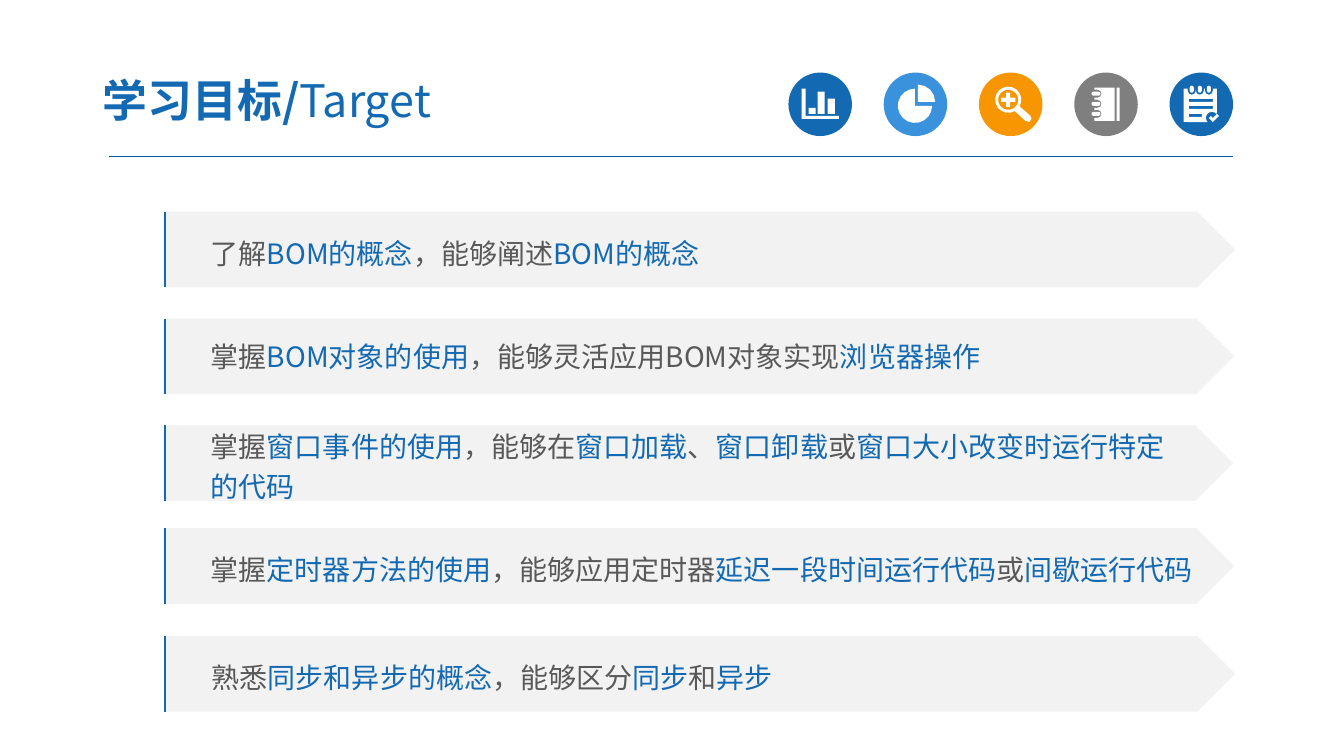
from math import cos, radians, sin
from pptx import Presentation
from pptx.dml.color import RGBColor
from pptx.enum.shapes import MSO_CONNECTOR, MSO_SHAPE as Shape
from pptx.enum.text import MSO_ANCHOR, MSO_AUTO_SIZE, PP_ALIGN
from pptx.oxml.ns import qn
from pptx.util import Inches, Pt
from lxml import etree

BLUE = RGBColor(0x13, 0x69, 0xB2)
SKY = RGBColor(0x39, 0x92, 0xDB)
ORANGE = RGBColor(0xF7, 0x96, 0x00)
GREY = RGBColor(0x7F, 0x7F, 0x7F)
WHITE = RGBColor(0xFF, 0xFF, 0xFF)
PALE = RGBColor(0xF2, 0xF2, 0xF2)
TEXT = RGBColor(0x59, 0x59, 0x59)
RULE = RGBColor(0x00, 0x5B, 0x9E)
FONT = "Noto Sans CJK SC"

TITLE = [("学习目标/", True), ("Target", False)]
GOALS = [
    (1.62, 2.10, 10.63, 1.2, [["了解", "BOM的概念", "，能够阐述", "BOM的概念"]]),
    (1.62, 3.16, 10.62, 1.0, [["掌握", "BOM对象的使用", "，能够灵活应用BOM对象实现", "浏览器操作"]]),
    (1.62, 4.22, 10.61, 1.2, [["掌握", "窗口事件的使用", "，能够在", "窗口加载", "、", "窗口卸载",
                               "或", "窗口大小改变时运行特定"], ["", "的代码"]]),
    (1.62, 5.24, 10.62, 1.2, [["掌握", "定时器方法的使用", "，能够应用定时器", "延迟一段时间运行代码",
                               "或", "间歇运行代码"]]),
    (1.63, 6.31, 10.62, 1.2, [["熟悉", "同步和异步的概念", "，能够区分", "同步", "和", "异步"]]),
]
PLATE_HEIGHT, EDGE_LEFT, EDGE_WIDTH = 0.75, 1.64, 0.16
ICON_LEFT, ICON_TOP, ICON_SIZE, ICON_STEP = 7.82, 0.72, 0.63, 0.945


def arc(x, y, radius, start, end):
    """List points along an arc, in degrees clockwise from the right."""
    count = max(2, round(abs(end - start) / (20 if radius > 0.05 else 45)))
    angles = [radians(start + (end - start) * step / count) for step in range(count + 1)]
    return [(x + radius * cos(angle), y + radius * sin(angle)) for angle in angles]


def bar(left, top, width, height):
    """List the corners of an upright bar."""
    right, bottom = left + width, top + height
    return [(left, top), (right, top), (right, bottom), (left, bottom)]


def bar_chart():
    """Outline two axes and three bars."""
    axes = [(0.13, 0.16), (0.17, 0.16), (0.17, 0.43), (0.5, 0.43), (0.5, 0.46), (0.13, 0.46)]
    return [axes, bar(0.2, 0.35, 0.07, 0.06), bar(0.29, 0.19, 0.07, 0.22),
            bar(0.39, 0.26, 0.07, 0.15)]


def pie_chart():
    """Outline a pie with one slice pulled out."""
    return [[(0.31, 0.33)] + arc(0.31, 0.33, 0.17, 0, 270),
            [(0.34, 0.29)] + arc(0.34, 0.29, 0.17, 270, 360)]


def magnifier():
    """Outline a lens with a handle and a plus sign."""
    x, y, arm, half = 0.29, 0.27, 0.07, 0.02
    plus = [(-half, -arm), (half, -arm), (half, -half), (arm, -half), (arm, half), (half, half),
            (half, arm), (-half, arm), (-half, half), (-arm, half), (-arm, -half), (-half, -half)]
    handle = [(0.51, 0.43), (0.52, 0.46), (0.5, 0.49), (0.46, 0.48)]
    return [arc(x, y, 0.13, 60, 390) + handle, arc(x, y, 0.1, 0, 360),
            [(x + dx, y + dy) for dx, dy in plus]]


def notebook():
    """Outline a ring-bound book."""
    body, rings = [(0.4, 0.15), (0.4, 0.48), (0.2, 0.48)], []
    for y in (0.41, 0.31, 0.21):
        body += [(0.2, y + 0.04), *arc(0.23, y, 0.04, 90, -90), (0.2, y - 0.04)]
        rings.append(arc(0.24, y, 0.02, -90, 90) + arc(0.19, y, 0.02, 90, 270))
    return [body + [(0.2, 0.15)], bar(0.42, 0.15, 0.03, 0.33), *rings]


def notepad():
    """Outline a ticked pad with rings and ruled lines."""
    body, rings = [(0.14, 0.16)], []
    for x in (0.22, 0.3, 0.39):
        body += [(x - 0.04, 0.16), *arc(x, 0.18, 0.04, 180, 0), (x + 0.04, 0.16)]
        rings.append(arc(x, 0.15, 0.02, 180, 360) + arc(x, 0.18, 0.02, 0, 180))
    body += [(0.47, 0.16), (0.47, 0.4), *arc(0.42, 0.45, 0.06, 315, 135), (0.14, 0.49)]
    lines = [bar(0.19, top, width, 0.03)
             for top, width in ((0.26, 0.24), (0.33, 0.24), (0.41, 0.13))]
    tick = [(0.39, 0.45), (0.41, 0.43), (0.43, 0.45), (0.47, 0.41), (0.49, 0.43), (0.43, 0.49)]
    return [body, *rings, *lines, tick]


ICONS = [(BLUE, bar_chart()), (SKY, pie_chart()), (ORANGE, magnifier()),
         (GREY, notebook()), (BLUE, notepad())]


def paint(shape, color):
    """Give a shape a plain fill without border or shadow."""
    shape.shadow.inherit = False
    shape.fill.solid()
    shape.fill.fore_color.rgb = color
    shape.line.fill.background()


def add_filled(shapes, kind, color, *box):
    """Add a plainly filled preset shape."""
    shape = shapes.add_shape(kind, *map(Inches, box))
    paint(shape, color)
    return shape


def add_span(para, text, size, color, bold=False):
    """Add a formatted run in the slide's font."""
    span = para.add_run()
    span.text = text
    font = span.font
    font.size, font.bold, font.name = Pt(size), bold, FONT
    font.color.rgb = color
    etree.SubElement(span._r.get_or_add_rPr(), qn("a:ea")).set("typeface", FONT)


def add_rule(page):
    """Draw the line under the title."""
    rule = page.shapes.add_connector(MSO_CONNECTOR.STRAIGHT, Inches(1.08), Inches(1.55),
                                     Inches(12.23), Inches(1.55))
    rule.line.color.rgb = RULE
    rule.line.width = Pt(0.75)
    etree.SubElement(rule._element.spPr, qn("a:effectLst"))


def add_title(page):
    """Place and fill the title."""
    title = page.shapes.title
    title.left, title.top, title.width, title.height = map(Inches, (0.89, 0.63, 5.22, 0.72))
    frame = title.text_frame
    frame.auto_size, frame.word_wrap = MSO_AUTO_SIZE.NONE, True
    frame.vertical_anchor = MSO_ANCHOR.MIDDLE
    frame.margin_left = frame.margin_right = Inches(0.13)
    frame.margin_top = frame.margin_bottom = Inches(0.07)
    para = frame.paragraphs[0]
    para.alignment = PP_ALIGN.LEFT
    for text, bold in TITLE:
        add_span(para, text, 32, BLUE, bold)


def add_icon(page, left, color, contours):
    """Draw a round badge with its symbol."""
    shapes = page.shapes.add_group_shape().shapes
    add_filled(shapes, Shape.OVAL, color, left, ICON_TOP, ICON_SIZE, ICON_SIZE)
    builder = None
    for contour in contours:
        first, *others = [(Inches(left + x), Inches(ICON_TOP + y)) for x, y in contour]
        if builder is None:
            builder = shapes.build_freeform(*first)
        else:
            builder.move_to(*first)
        builder.add_line_segments(others, close=True)
    paint(builder.convert_to_shape(), WHITE)


def add_goal(page, left, top, width, spacing, lines):
    """Draw one arrow plate with its goal and edge line."""
    shapes = page.shapes.add_group_shape().shapes
    plate = add_filled(shapes, Shape.PENTAGON, PALE, left, top, width, PLATE_HEIGHT)
    frame = plate.text_frame
    frame.word_wrap = True
    frame.vertical_anchor = MSO_ANCHOR.MIDDLE
    frame.margin_left = Inches(0.47)
    for index, parts in enumerate(lines):
        para = frame.add_paragraph() if index else frame.paragraphs[0]
        para.alignment = PP_ALIGN.LEFT
        para.line_spacing = spacing
        for order, text in enumerate(parts):
            if text:
                add_span(para, text, 20, BLUE if order % 2 else TEXT)
    builder = shapes.build_freeform(Inches(EDGE_LEFT), Inches(top + PLATE_HEIGHT))
    builder.add_line_segments([(Inches(EDGE_LEFT), Inches(top))], close=False)
    builder.move_to(Inches(EDGE_LEFT + EDGE_WIDTH), Inches(top))
    edge = builder.convert_to_shape()
    edge.shadow.inherit = False
    edge.fill.background()
    edge.line.color.rgb = BLUE
    edge.line.width = Pt(1.5)


def main():
    """Build and save the slide."""
    deck = Presentation()
    deck.slide_width, deck.slide_height = Inches(13.33), Inches(7.5)
    page = deck.slides.add_slide(deck.slide_layouts[5])
    add_rule(page)
    for index, (color, contours) in enumerate(ICONS):
        add_icon(page, ICON_LEFT + index * ICON_STEP, color, contours)
    add_title(page)
    for goal in GOALS:
        add_goal(page, *goal)
    deck.save("out.pptx")


if __name__ == "__main__":
    main()
